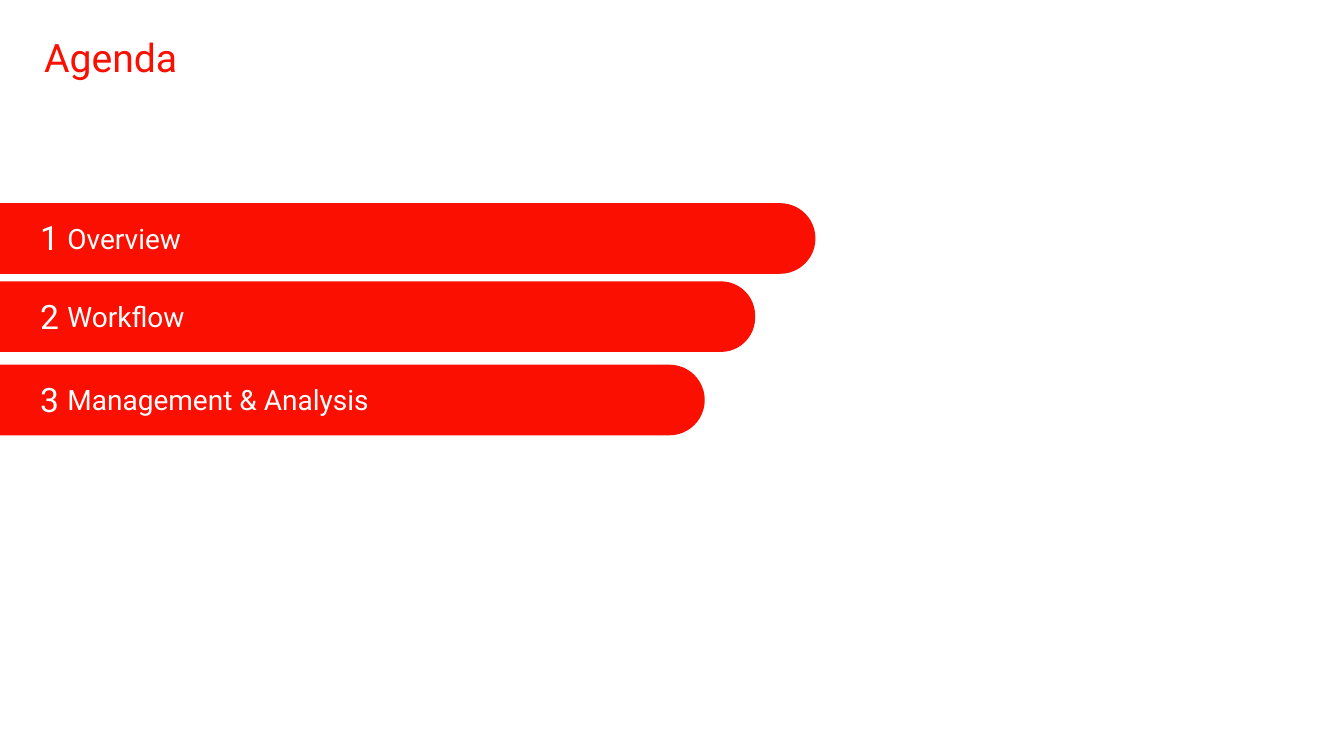
from pptx import Presentation
from pptx.dml.color import RGBColor
from pptx.enum.shapes import MSO_SHAPE as Preset
from pptx.enum.text import MSO_ANCHOR as Anchor
from pptx.util import Cm, Pt

COLORS = {"red": "FA0F00", "white": "FFFFFF"}
FONT = "Roboto"
BAR_HEIGHT = 1.78

# label, bar top, bar width, bar corner rounding, label width (lengths in cm)
AGENDA = [
    ("Overview", 5.12, 20.55, 0.5, 13.92),
    ("Workflow", 7.09, 19.03, 0.485, 15.49),
    ("Management & Analysis", 9.19, 17.76, 0.5, 12.17),
]


def add_text(page, text, left, top, width, height, size, color, line_spacing=None):
    box = page.shapes.add_textbox(Cm(left), Cm(top), Cm(width), Cm(height))
    box.text_frame.word_wrap = True
    box.text_frame.vertical_anchor = Anchor.TOP
    para = box.text_frame.paragraphs[0]
    if line_spacing:
        para.line_spacing = line_spacing
    span = para.add_run()
    span.text = text
    span.font.name = FONT
    span.font.size = Pt(size)
    span.font.color.rgb = RGBColor.from_string(COLORS[color])


def add_bar(page, left, top, width, height, rounding):
    """Turn a top-rounded rectangle so that its round end points right."""
    turned_left = left + (width - height) / 2
    turned_top = top - (width - height) / 2
    bar = page.shapes.add_shape(Preset.ROUND_2_SAME_RECTANGLE, Cm(turned_left),
                                Cm(turned_top), Cm(height), Cm(width))
    bar.rotation = 90
    bar.adjustments[0] = rounding
    bar.adjustments[1] = 0
    bar.shadow.inherit = False
    bar.fill.solid()
    bar.fill.fore_color.rgb = RGBColor.from_string(COLORS["red"])
    bar.line.fill.background()


def add_agenda_item(page, number, label, left, top, width, rounding, label_width):
    add_bar(page, left, top, width, BAR_HEIGHT, rounding)
    add_text(page, str(number), left + 0.76, top + 0.23, 1.1, 1.27, 24, "white")
    add_text(page, label, left + 1.45, top + 0.33, label_width, 1.12, 20, "white")


def add_agenda_slide(deck):
    page = deck.slides.add_slide(deck.slide_layouts[6])
    add_text(page, "Agenda", 0.86, 0.86, 31.93, 1.8, 28, "red", line_spacing=0.9)
    for number, (label, top, width, rounding, label_width) in enumerate(AGENDA, 1):
        add_agenda_item(page, number, label, 0, top, width, rounding, label_width)


def main():
    deck = Presentation()
    deck.slide_width, deck.slide_height = Cm(33.87), Cm(19.05)
    add_agenda_slide(deck)
    deck.save("out.pptx")


if __name__ == "__main__":
    main()
